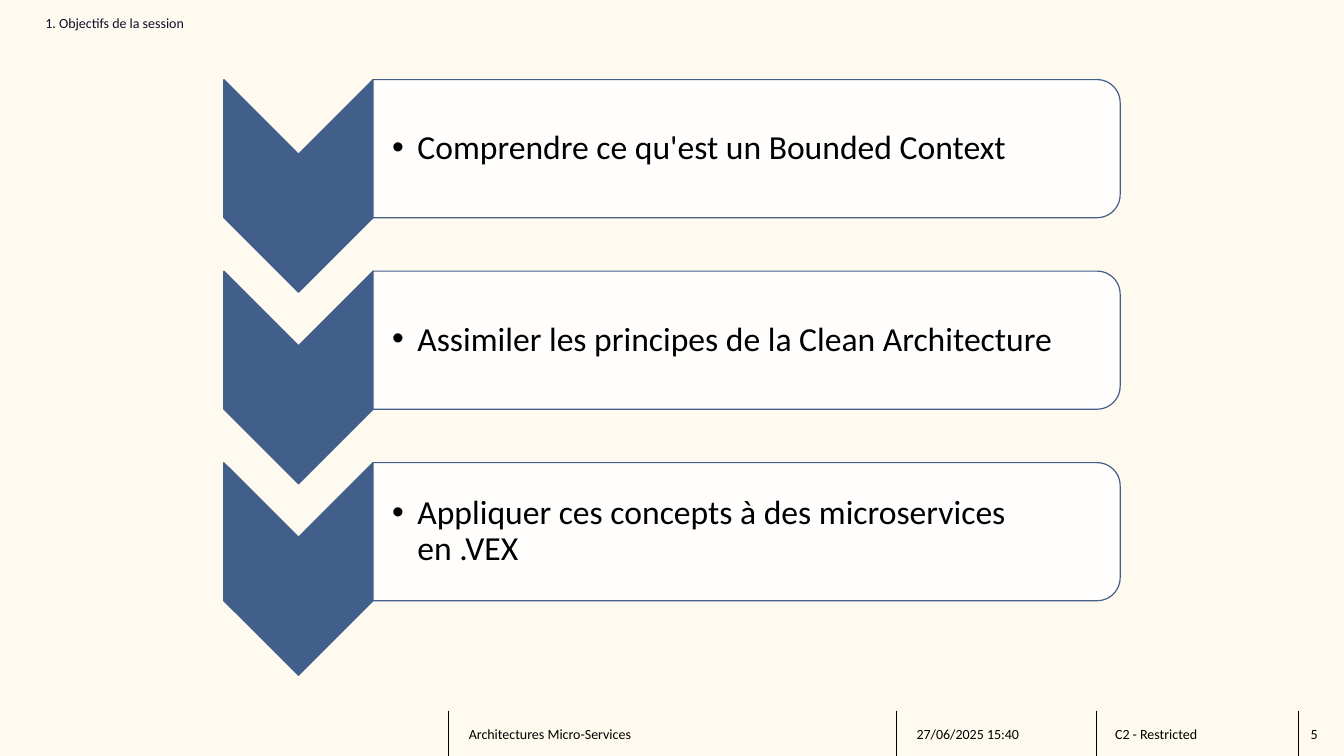
from lxml.etree import SubElement
from pptx import Presentation
from pptx.dml.color import RGBColor
from pptx.enum.shapes import MSO_CONNECTOR, MSO_SHAPE
from pptx.enum.text import MSO_ANCHOR
from pptx.oxml.ns import qn
from pptx.util import Inches, Pt

# Content
SECTION = "1. Objectifs de la session"
GOALS = [
    "Comprendre ce qu'est un Bounded Context",
    "Assimiler les principes de la Clean Architecture",
    "Appliquer ces concepts à des microservices en .VEX",
]
# Footer cells: left edge, left inset, text
FOOTER = [
    (4.45, 0.2, "Architectures Micro-Services"),
    (8.89, 0.2, "27/06/2025 15:40"),
    (10.88, 0.18, "C2 - Restricted"),
    (12.88, 0.12, "5"),
]

# Style and grid, in inches
FONT = "Calibri"
CREAM = RGBColor(0xFF, 0xFA, 0xF0)
BLUE = RGBColor(0x42, 0x5F, 0x8B)
WHITE = RGBColor(0xFF, 0xFF, 0xFF)
BLACK = RGBColor(0, 0, 0)
NAVY = RGBColor(0x0F, 0x0E, 0x2B)
WIDTH, HEIGHT = 13.33, 7.5
FOOTER_TOP = 7.05
ROW_TOP, ROW_STEP = 0.79, 1.9
CHEVRON_LEFT, CHEVRON_W, CHEVRON_H = 2.22, 1.48, 2.11
BAR_LEFT, BAR_W, BAR_H = 3.7, 7.41, 1.37
TEXT_W, TEXT_H = 7.34, 1.24

prs = Presentation()
prs.slide_width, prs.slide_height = Inches(WIDTH), Inches(HEIGHT)
s = prs.slides.add_slide(prs.slide_layouts[6])
s.background.fill.solid()
s.background.fill.fore_color.rgb = CREAM


def add_text(text, left, top, width, height, size, insets, color=BLACK):
    sp = s.shapes.add_textbox(*map(Inches, (left, top, width, height)))
    tf = sp.text_frame
    tf.text = text
    tf.word_wrap = True
    tf.vertical_anchor = MSO_ANCHOR.MIDDLE
    tf.margin_left, tf.margin_top, tf.margin_right, tf.margin_bottom = map(Inches, insets)
    p = tf.paragraphs[0]
    font = p.runs[0].font
    font.name, font.size, font.color.rgb = FONT, Pt(size), color
    return p


def add_turned(kind, left, top, width, height, fill):
    """Add a shape turned a quarter clockwise that covers the given box."""
    x, y = left + (width - height) / 2, top + (height - width) / 2
    sp = s.shapes.add_shape(kind, *map(Inches, (x, y, height, width)))
    sp.rotation = 90
    sp.shadow.inherit = False
    sp.fill.solid()
    sp.fill.fore_color.rgb = fill
    sp.line.color.rgb = BLUE
    sp.line.width = Pt(0.85)
    return sp


def add_bullet(p):
    pPr = p._p.get_or_add_pPr()
    pPr.set("marL", str(Inches(0.25)))
    pPr.set("indent", str(-Inches(0.25)))
    SubElement(pPr, qn("a:buFont"), typeface="Arial")
    SubElement(pPr, qn("a:buChar"), char="•")


# Section title
add_text(SECTION, 0.45, 0.07, 12.44, 0.31, 10, (0, 0, 0.2, 0), NAVY)

# Footer cells, each with a rule on its left
edges = [left for left, _, _ in FOOTER] + [WIDTH]
for (left, inset, text), right in zip(FOOTER, edges[1:]):
    line = s.shapes.add_connector(
        MSO_CONNECTOR.STRAIGHT, *map(Inches, (left, FOOTER_TOP, left, HEIGHT)))
    line.line.color.rgb = BLACK
    line.line.width = Pt(0.75)
    SubElement(line._element.spPr, qn("a:effectLst"))
    add_text(text, left, FOOTER_TOP + 0.01, right - left, 0.44, 10, (inset, 0, 0.1, 0))

# Goals: chevron, rounded bar and bulleted text
for row, goal in enumerate(GOALS):
    top = ROW_TOP + row * ROW_STEP
    add_turned(MSO_SHAPE.CHEVRON, CHEVRON_LEFT, top, CHEVRON_W, CHEVRON_H, BLUE)
    bar = add_turned(MSO_SHAPE.ROUND_2_SAME_RECTANGLE, BAR_LEFT, top, BAR_W, BAR_H, WHITE)
    SubElement(bar._element.spPr.find(qn("a:solidFill"))[0], qn("a:alpha"), val="90000")
    p = add_text(goal, BAR_LEFT, top + (BAR_H - TEXT_H) / 2, TEXT_W, TEXT_H, 24,
                 (0.19, 0.02, 0.02, 0.02))
    p.line_spacing = 0.9
    add_bullet(p)

prs.save("out.pptx")
